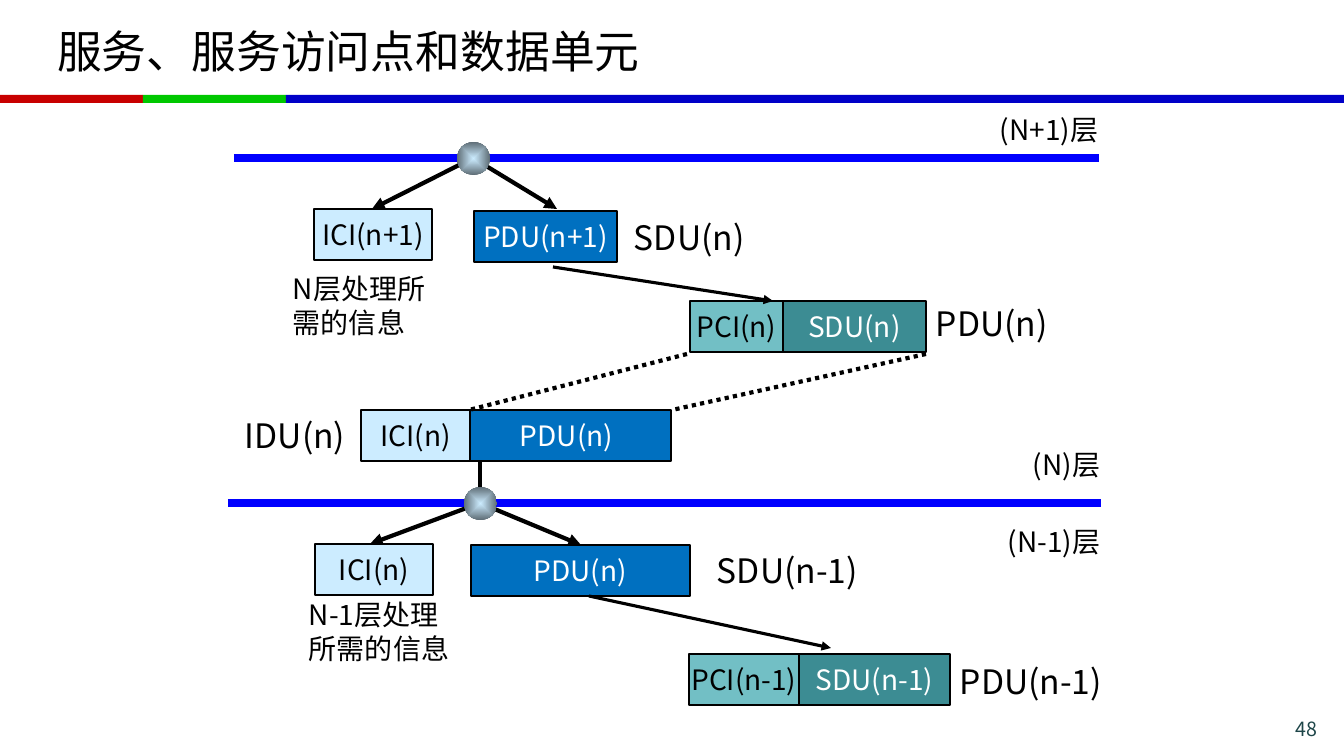
from lxml.etree import SubElement
from pptx import Presentation
from pptx.dml.color import RGBColor
from pptx.enum.dml import MSO_LINE_DASH_STYLE as Dash
from pptx.enum.shapes import MSO_CONNECTOR_TYPE as Connector, MSO_SHAPE as Shape
from pptx.enum.text import MSO_ANCHOR as Anchor, PP_ALIGN as Align
from pptx.oxml.ns import qn
from pptx.util import Pt

PX = 914400 / 100.8
FONT = "Noto Sans CJK SC"
BLACK, WHITE = "000000", "FFFFFF"
ICI, PDU, PCI, SDU = "CCECFF", "0070C0", "72BFC5", "3C8C93"


def px(*lengths):
    return [round(length * PX) for length in lengths]


def color(value):
    return RGBColor.from_string(value)


def apply(target, values):
    for name, value in values.items():
        setattr(target, name, value)


# Text and shape helpers
def write(shape, text, size, text_color=BLACK, align=Align.LEFT, **frame_format):
    frame = shape.text_frame
    apply(frame, {"word_wrap": True, "vertical_anchor": Anchor.TOP} | frame_format)
    paragraph = frame.paragraphs[0]
    paragraph.alignment = align
    run = paragraph.add_run()
    run.text = text
    apply(run.font, {"size": Pt(size), "name": FONT})
    run.font.color.rgb = color(text_color)
    SubElement(run.font._element, qn("a:ea"), typeface=FONT)


def add_label(slide, left, top, width, height, text, size=20, align=Align.LEFT):
    label = slide.shapes.add_textbox(*px(left, top, width, height))
    write(label, text, size, align=align)
    return label


def add_plain(slide, kind, left, top, width, height, fill):
    shape = slide.shapes.add_shape(kind, *px(left, top, width, height))
    shape.shadow.inherit = False
    shape.fill.solid()
    shape.fill.fore_color.rgb = color(fill)
    shape.line.fill.background()
    return shape


def add_unit(slide, left, top, width, text, fill):
    unit = add_plain(slide, Shape.RECTANGLE, left, top, width, 51, fill)
    unit.line.color.rgb = color(BLACK)
    unit.line.width = Pt(1.5)
    text_color = WHITE if fill in (PDU, SDU) else BLACK
    write(unit, text, 20, text_color, Align.CENTER,
          word_wrap=False, vertical_anchor=Anchor.MIDDLE)


def add_line(slide, start, end, width=3, line_color=BLACK, arrow=False, dash=None):
    line = slide.shapes.add_connector(Connector.STRAIGHT, *px(*start, *end))
    line.line.color.rgb = color(line_color)
    apply(line.line, {"width": Pt(width), "dash_style": dash})
    if arrow:
        SubElement(line.line._get_or_add_ln(), qn("a:tailEnd"), type="triangle")
    SubElement(line._element.spPr, qn("a:effectLst"))


def add_access_point(slide, x, y, diameter=33):
    left, top = x - diameter // 2, y - diameter // 2
    point = add_plain(slide, Shape.OVAL, left, top, diameter, diameter, ICI)
    point.fill.gradient()
    for stop, position, value in zip(point.fill.gradient_stops, (0, 1), (ICI, "5E6D76")):
        stop.position = position
        stop.color.rgb = color(value)
    gradient = point._element.spPr.find(qn("a:gradFill"))
    gradient.remove(gradient.find(qn("a:lin")))
    path = SubElement(gradient, qn("a:path"), path="shape")
    SubElement(path, qn("a:fillToRect"), {side: "50000" for side in "ltrb"})


# Title, tricolour rule and page number
def draw_header(slide, left, top, width):
    title = slide.shapes.title
    apply(title, dict(zip(("left", "top", "width", "height"),
                          px(left + 47, top + 8, width - 95, 85))))
    write(title, "服务、服务访问点和数据单元", 32, vertical_anchor=Anchor.MIDDLE)
    third = 143
    for start, end, fill in ((0, third, "C80000"), (third, 2 * third, "00C800"),
                             (2 * third, width, "0000C8")):
        add_plain(slide, Shape.RECTANGLE, left + start, top + 95, end - start, 8, fill)


def draw_page_number(slide, left, top, width, height):
    label = add_label(slide, left, top, width, height, "48", 14, Align.RIGHT)
    label.text_frame.paragraphs[0].runs[0].font.color.rgb = color("1E4649")


# Layer border: the access point splits into ICI and PDU, and the SDU gains a PCI
def draw_interface(slide, left, top, width, parts):
    point = left + parts["point"], top
    add_line(slide, (left, top), (left + width, top), 6, "0000FF")
    for x, y in parts["arrow_ends"]:
        add_line(slide, point, (left + x, top + y), arrow=True)
    add_access_point(slide, *point)
    for x, y, unit_width, text, fill in parts["units"]:
        add_unit(slide, left + x, top + y, unit_width, text, fill)
    (x1, y1), (x2, y2) = parts["encapsulation"]
    add_line(slide, (left + x1, top + y1), (left + x2, top + y2), 2.25, arrow=True)
    for x, y, label_width, height, text, size in parts["labels"]:
        add_label(slide, left + x, top + y, label_width, height, text, size)


# IDU of layer N, with the dotted mapping from the PDU above
def draw_idu(slide, left, top):
    add_label(slide, left, top, 126, 50, "IDU(n)", 24)
    add_unit(slide, left + 227, top, 209, "PDU(n)", PDU)
    add_unit(slide, left + 126, top, 109, "ICI(n)", ICI)
    for start, end in ((452, 234), (691, 437)):
        add_line(slide, (left + start, top - 56), (left + end, top), dash=Dash.ROUND_DOT)
    add_line(slide, (left + 245, top + 51), (left + 245, top + 93))
    add_label(slide, left + 788, top + 33, 109, 43, "(N)层")


UPPER = {
    "point": 239,
    "arrow_ends": [(138, 51), (323, 51)],
    "units": [(80, 51, 118, "ICI(n+1)", ICI), (240, 53, 143, "PDU(n+1)", PDU),
              (549, 143, 143, "SDU(n)", SDU), (456, 143, 93, "PCI(n)", PCI)],
    "encapsulation": [(319, 109), (539, 143)],
    "labels": [(756, -50, 126, 44, "(N+1)层", 20), (390, 54, 134, 50, "SDU(n)", 24),
               (692, 140, 159, 50, "PDU(n)", 24), (49, 109, 159, 78, "N层处理所需的信息", 20)],
}
LOWER = {
    "point": 252,
    "arrow_ends": [(142, 41), (353, 42)],
    "units": [(87, 41, 118, "ICI(n)", ICI), (243, 42, 219, "PDU(n)", PDU),
              (571, 151, 151, "SDU(n-1)", SDU), (461, 151, 110, "PCI(n-1)", PCI)],
    "encapsulation": [(361, 93), (603, 145)],
    "labels": [(770, 17, 134, 43, "(N-1)层", 20), (479, 42, 184, 50, "SDU(n-1)", 24),
               (722, 153, 176, 50, "PDU(n-1)", 24),
               (71, 90, 174, 78, "N-1层处理所需的信息", 20)],
}


def main():
    presentation = Presentation()
    presentation.slide_width, presentation.slide_height = px(1344, 756)
    slide = presentation.slides.add_slide(presentation.slide_layouts[5])
    draw_header(slide, 0, 0, 1344)
    draw_interface(slide, 234, 158, 865, UPPER)
    draw_idu(slide, 235, 410)
    draw_interface(slide, 228, 503, 873, LOWER)
    draw_page_number(slide, 1196, 712, 131, 23)
    presentation.save("out.pptx")


if __name__ == "__main__":
    main()
